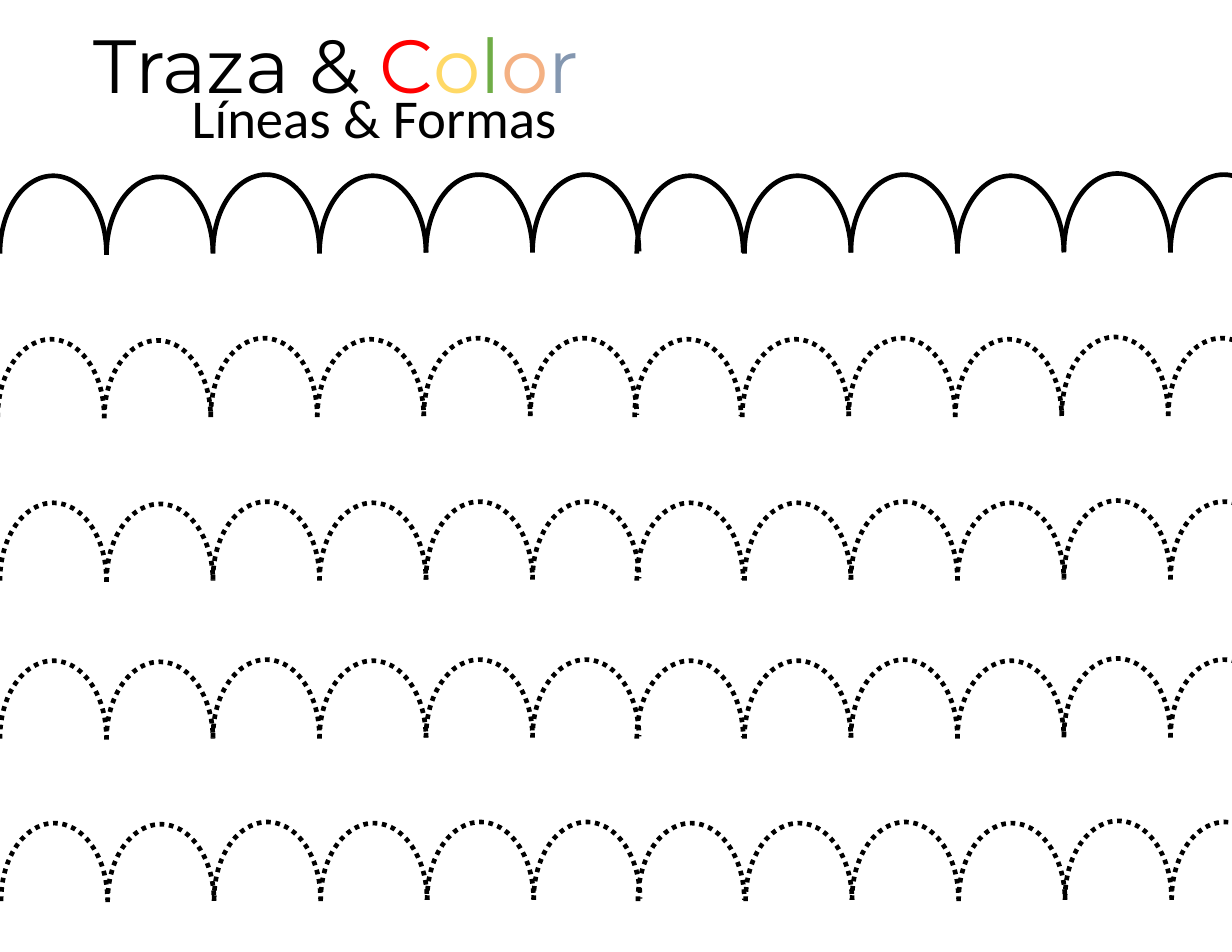
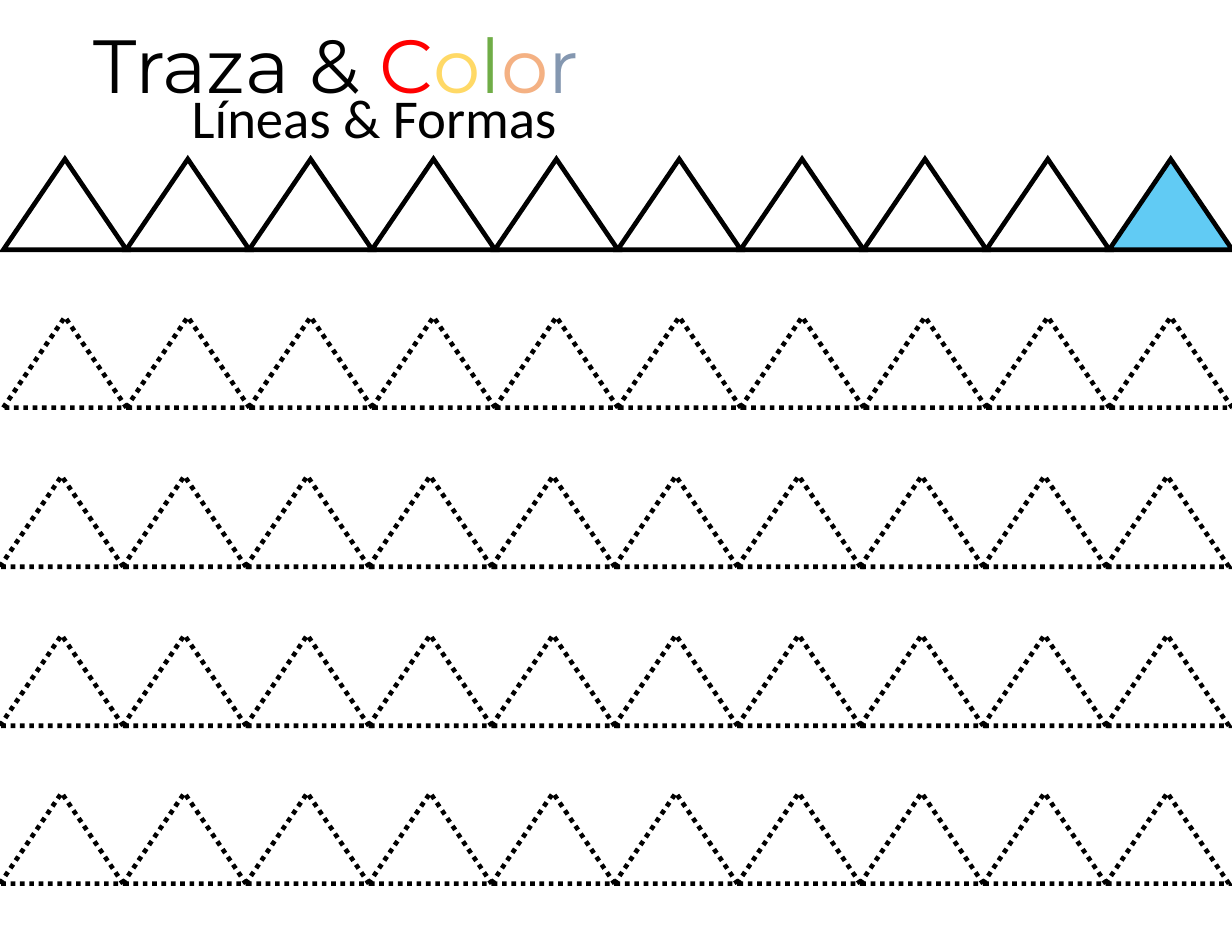
from lxml import etree
from pptx import Presentation
from pptx.dml.color import RGBColor
from pptx.enum.dml import MSO_LINE
from pptx.enum.shapes import MSO_SHAPE
from pptx.enum.text import MSO_AUTO_SIZE, PP_ALIGN
from pptx.oxml.ns import qn
from pptx.util import Inches, Pt

ARC, TRIANGLE = MSO_SHAPE.ARC, MSO_SHAPE.FLOWCHART_EXTRACT
DOTTED = MSO_LINE.ROUND_DOT
CENTER, LEFT = PP_ALIGN.CENTER, PP_ALIGN.LEFT

# Content
COLORS = {"black": "000000", "red": "FF0000", "yellow": "FFD966", "green": "70AD47",
          "orange": "F4B183", "slate": "8497B0", "sky": "61CBF4"}
SUBTITLE = [("Líneas & Formas", "black")]
TITLE = [("Traza & ", "black"), ("C", "red"), ("o", "yellow"), ("l", "green"),
         ("o", "orange"), ("r", "slate")]

# Rows as (left, top) in inches; the first row is solid, the rest are dotted
ARC_ROWS = [(0, 1.57), (-0.02, 3.03), (0, 4.49), (0, 5.9), (0.01, 7.35)]
TRIANGLE_ROWS = [(0.03, 1.42), (0.03, 2.83), (0, 4.25), (0, 5.67), (0, 7.08)]

# Hand-placed wobble of each arc in a row: (sideways, down)
ARC_WOBBLE = [(0, 0), (0, 0.01), (0, -0.01), (0, 0), (0, -0.01), (0, -0.01),
              (-0.02, 0), (-0.01, 0), (-0.01, -0.01), (-0.01, 0), (-0.01, -0.02),
              (-0.01, -0.01)]
TRIANGLE_WOBBLE = [(0, 0)] * 10

ARC_SIZE, ARC_PITCH, ARC_START = (0.95, 1.37), 0.95, 107.24
TRIANGLE_SIZE, TRIANGLE_PITCH = (1.1, 0.81), 1.1


def rgb(name):
    return RGBColor.from_string(COLORS[name])


def add_text(slide, box, runs, font, size, align):
    tf = slide.shapes.add_textbox(*map(Inches, box)).text_frame
    tf.word_wrap = True
    tf.auto_size = MSO_AUTO_SIZE.SHAPE_TO_FIT_TEXT
    p = tf.paragraphs[0]
    p.alignment = align
    p.font.name, p.font.size = font, Pt(size)
    for text, color in runs:
        r = p.add_run()
        r.text = text
        r.font.color.rgb = rgb(color)


def add_heading(slide):
    add_text(slide, (0.78, 0.7, 5.12, 0.69), SUBTITLE, "Calibri", 35.2, CENTER)
    add_text(slide, (0.74, 0.11, 5.36, 0.92), TITLE, "Montserrat", 48.4, LEFT)


def add_outline(group, kind, left, top, size, dotted):
    s = group.shapes.add_shape(kind, *map(Inches, (left, top, *size)))
    s.shadow.inherit = False
    s.fill.background()
    s.line.color.rgb = rgb("black")
    s.line.width = Pt(3)
    if dotted:
        s.line.dash_style = DOTTED
    # Sharp corners
    etree.SubElement(s.line._get_or_add_ln(), qn("a:miter"), lim="800000")
    return s


def add_rows(slide, kind, rows, wobble, size, pitch):
    """Draw one group per row and return the rows as lists of shapes."""
    drawn = []
    for i, (left, top) in enumerate(rows):
        group = slide.shapes.add_group_shape()
        drawn.append([add_outline(group, kind, left + col * pitch + dx, top + dy, size, i > 0)
                      for col, (dx, dy) in enumerate(wobble)])
    return drawn


def main():
    prs = Presentation()
    prs.slide_width, prs.slide_height = Inches(11), Inches(8.5)
    blank = prs.slide_layouts[6]

    # Arcs
    slide = prs.slides.add_slide(blank)
    for row in add_rows(slide, ARC, ARC_ROWS, ARC_WOBBLE, ARC_SIZE, ARC_PITCH + 0.001):
        for s in row:
            s.adjustments[0], s.adjustments[1] = ARC_START, 0
    add_heading(slide)

    # Triangles, with the last of the solid row coloured
    slide = prs.slides.add_slide(blank)
    triangles = add_rows(slide, TRIANGLE, TRIANGLE_ROWS, TRIANGLE_WOBBLE,
                         TRIANGLE_SIZE, TRIANGLE_PITCH - 0.003)
    example = triangles[0][-1]
    example.fill.solid()
    example.fill.fore_color.rgb = rgb("sky")
    add_heading(slide)

    prs.save("out.pptx")


if __name__ == "__main__":
    main()
